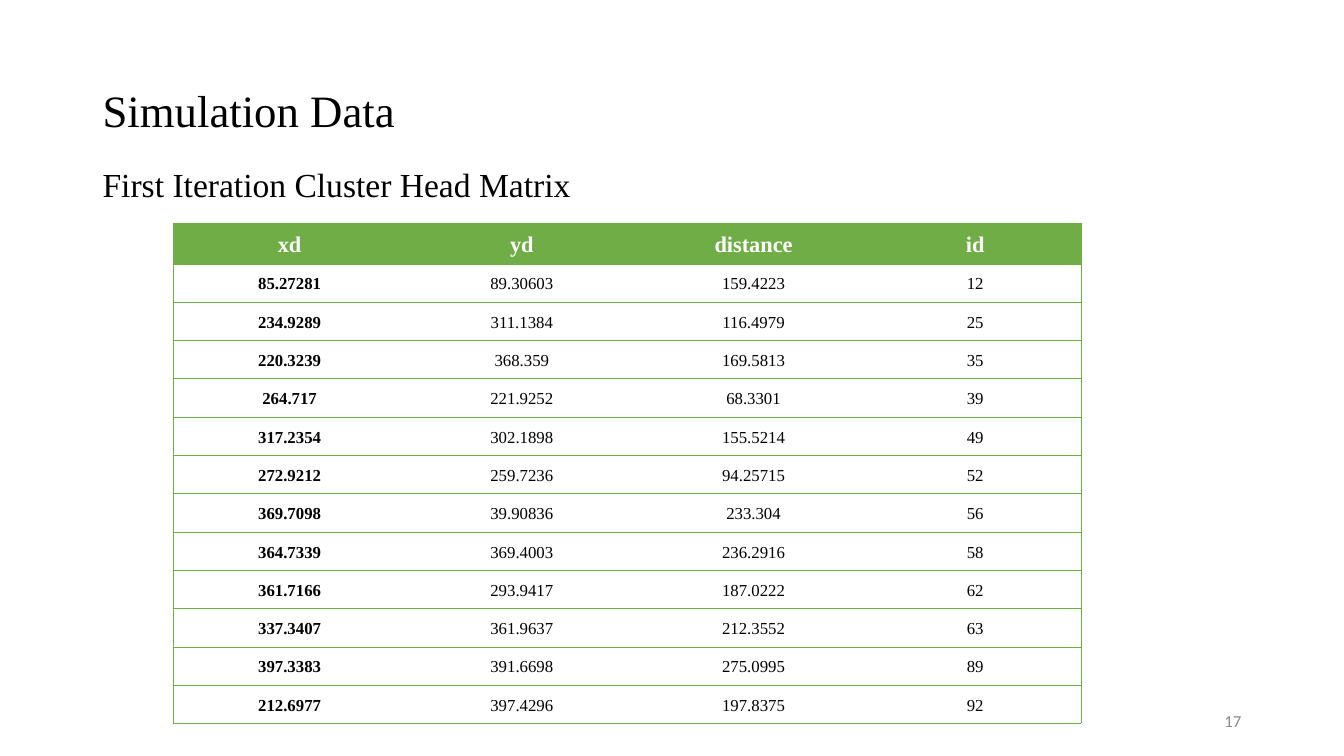
"""Build the slide that shows the first cluster head matrix."""
from dataclasses import dataclass

from lxml import etree
from pptx import Presentation, util as u
from pptx.dml.color import RGBColor
from pptx.enum import text
from pptx.oxml import ns

ALIGN = text.PP_ALIGN
MIDDLE = text.MSO_ANCHOR.MIDDLE


@dataclass(frozen=True)
class Theme:
    serif: str = "Times New Roman"
    sans: str = "Calibri"
    black: str = "000000"
    white: str = "FFFFFF"
    green: str = "70AD47"
    grey: str = "898989"
    title: int = 32
    lead: int = 24
    head: int = 16
    small: int = 12
    line: float = 0.23


THEME = Theme()
WIDTHS = (2.31, 2.3, 2.3, 2.1)
HEAD = ("xd", "yd", "distance", "id")
ROWS = (
    ("85.27281", "89.30603", "159.4223", "12"),
    ("234.9289", "311.1384", "116.4979", "25"),
    ("220.3239", "368.359", "169.5813", "35"),
    ("264.717", "221.9252", "68.3301", "39"),
    ("317.2354", "302.1898", "155.5214", "49"),
    ("272.9212", "259.7236", "94.25715", "52"),
    ("369.7098", "39.90836", "233.304", "56"),
    ("364.7339", "369.4003", "236.2916", "58"),
    ("361.7166", "293.9417", "187.0222", "62"),
    ("337.3407", "361.9637", "212.3552", "63"),
    ("397.3383", "391.6698", "275.0995", "89"),
    ("212.6977", "397.4296", "197.8375", "92"),
)


def write(frame, words, size, color, face=THEME.serif, bold=False,
          align=ALIGN.LEFT, space=1.0):
    para = frame.paragraphs[0]
    para.alignment = align
    para.line_spacing = space
    run = para.add_run()
    run.text = words
    run.font.name = face
    run.font.size = u.Pt(size)
    run.font.bold = bold
    run.font.color.rgb = RGBColor.from_string(color)


def add_text(slide, place, words, size, color, anchor=MIDDLE, **style):
    frame = slide.shapes.add_textbox(*map(u.Inches, place)).text_frame
    frame.word_wrap = True
    frame.vertical_anchor = anchor
    write(frame, words, size, color, **style)


def add_edge(cell, side, shown):
    props = cell._tc.get_or_add_tcPr()
    line = etree.SubElement(props, ns.qn(f"a:ln{side}"),
                            w=str(int(u.Pt(THEME.line))))
    if shown:
        fill = etree.SubElement(line, ns.qn("a:solidFill"))
        etree.SubElement(fill, ns.qn("a:srgbClr"), val=THEME.green)
    else:
        etree.SubElement(line, ns.qn("a:noFill"))


def fill_cell(cell, words, row, col):
    top = row == 0
    cell.vertical_anchor = MIDDLE
    cell.margin_left = cell.margin_right = u.Inches(0.08)
    cell.margin_top = cell.margin_bottom = u.Inches(0.05)
    edges = {"L": col == 0, "R": col == len(HEAD) - 1, "T": True, "B": True}
    for side, shown in edges.items():
        add_edge(cell, side, shown)
    if top:
        cell.fill.solid()
        cell.fill.fore_color.rgb = RGBColor.from_string(THEME.green)
    else:
        cell.fill.background()
    write(cell.text_frame, words,
          THEME.head if top else THEME.small,
          THEME.white if top else THEME.black,
          bold=top or col == 0, align=ALIGN.CENTER, space=1.15)


def add_grid(slide):
    data = (HEAD, *ROWS)
    place = map(u.Inches, (1.72, 2.21, sum(WIDTHS), 4.91))
    grid = slide.shapes.add_table(len(data), len(HEAD), *place).table
    grid.horz_banding = False
    for col, width in zip(grid.columns, WIDTHS):
        col.width = u.Inches(width)
    for row, cells in enumerate(data):
        grid.rows[row].height = u.Inches(0.38 if row else 0.35)
        for col, words in enumerate(cells):
            fill_cell(grid.cell(row, col), words, row, col)


def main():
    deck = Presentation()
    deck.slide_width = u.Inches(13.34)
    deck.slide_height = u.Inches(7.5)
    slide = deck.slides.add_slide(deck.slide_layouts[6])
    add_text(slide, (0.92, 0.4, 11.5, 1.45), "Simulation Data",
             THEME.title, THEME.black, space=0.9)
    add_text(slide, (0.92, 1.62, 11.5, 4.76),
             "First Iteration Cluster Head Matrix", THEME.lead, THEME.black,
             anchor=text.MSO_ANCHOR.TOP, space=0.9)
    add_text(slide, (9.42, 6.95, 3, 0.4), "17", THEME.small, THEME.grey,
             face=THEME.sans, align=ALIGN.RIGHT)
    add_grid(slide)
    deck.save("out.pptx")


if __name__ == "__main__":
    main()
